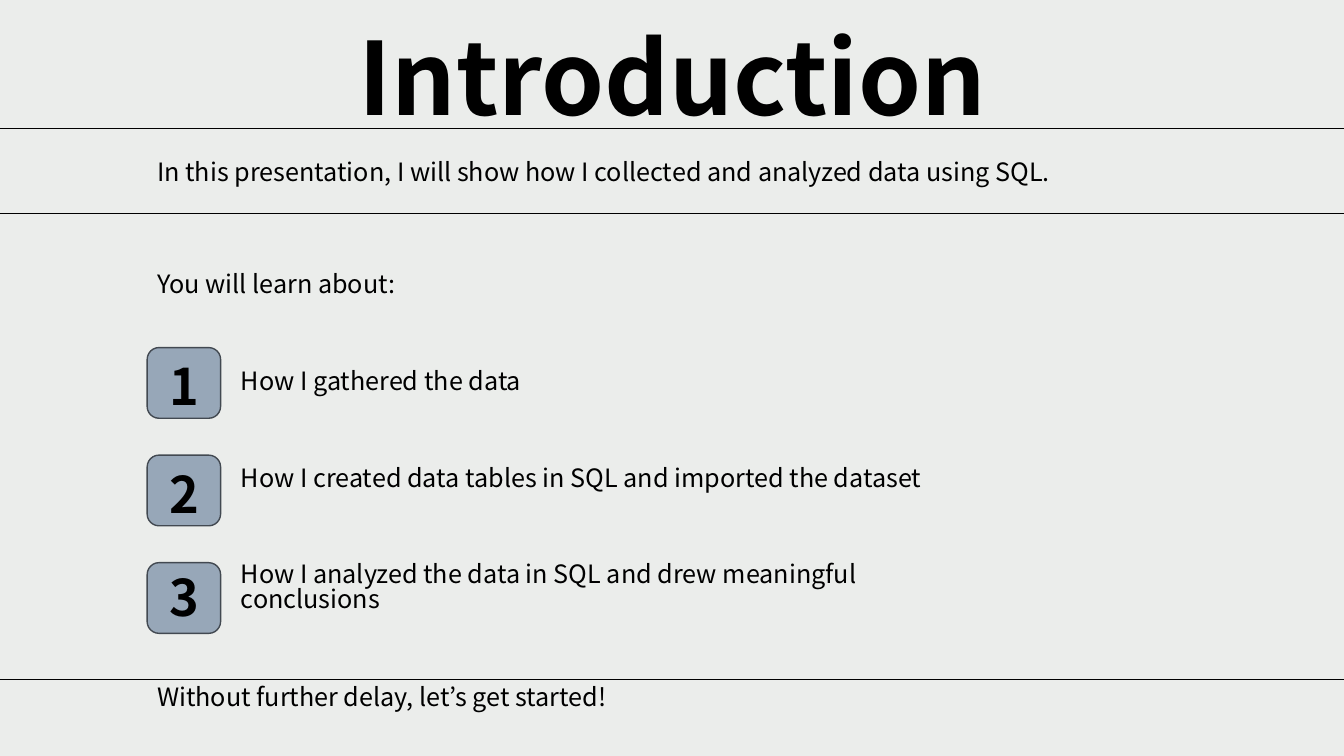
"""Build the introduction slide with its three numbered topics."""
from dataclasses import dataclass

from lxml.etree import SubElement
from pptx import Presentation
from pptx.dml.color import RGBColor
from pptx.enum.shapes import MSO_CONNECTOR as Connector, MSO_SHAPE as Shape
from pptx.enum.text import MSO_ANCHOR as Anchor, MSO_AUTO_SIZE as AutoSize, PP_ALIGN as Align
from pptx.oxml.ns import qn
from pptx.util import Cm, Pt

TITLE = ("Introduction", (7.29, 0.53, 19.3, 3.33))
TOPICS = [
    "How I gathered the data",
    "How I created data tables in SQL and imported the dataset",
    "How I analyzed the data in SQL and drew meaningful conclusions",
]
TOPICS_AREA = (5.82, 9.14, 19.33, 6.93)
SENTENCES = [
    ("In this presentation, I will show how I collected and analyzed data using SQL.",
     (3.71, 3.89, 25.45, 1.02)),
    ("You will learn about:", (3.71, 6.71, 16.94, 1.02)),
    ("Without further delay, let’s get started!", (3.71, 17.12, 19.33, 1.02)),
]
RULE_HEIGHTS = [3.23, 5.38, 17.12]
NUMBER_TOPS = [8.97, 11.68, 14.27]
BADGE_LEFT, BADGE_TOP, BADGE_PITCH = 3.71, 8.76, 2.71
BADGE_WIDTH, BADGE_HEIGHT = 1.85, 1.78
SLIDE_WIDTH, SLIDE_HEIGHT = 33.87, 19.05


@dataclass(frozen=True)
class Theme:
    """Colours, font and type sizes of the slide."""
    font: str = "Noto Sans CJK JP"
    background: RGBColor = RGBColor(0xEB, 0xED, 0xEB)
    ink: RGBColor = RGBColor(0, 0, 0)
    badge: RGBColor = RGBColor(0x97, 0xA7, 0xB8)
    badge_edge: RGBColor = RGBColor(0x42, 0x49, 0x51)
    title_size: int = 72
    number_size: int = 36
    body_size: int = 18
    line_spacing: float = 0.82
    topic_gap: float = 51.4


THEME = Theme()


def place(box, area):
    """Move and size a box given in centimetres."""
    box.left, box.top, box.width, box.height = map(Cm, area)


def write(box, lines, size, bold=False, align=Align.LEFT, gap=0):
    """Fill a box with one paragraph per line."""
    frame = box.text_frame
    frame.word_wrap = True
    frame.auto_size = AutoSize.NONE
    frame.vertical_anchor = Anchor.TOP
    frame.margin_left = frame.margin_right = Cm(0.25)
    frame.margin_top = Cm(0.13) + Pt(size * 0.1)
    frame.margin_bottom = 0
    for index, line in enumerate(lines):
        para = frame.add_paragraph() if index else frame.paragraphs[0]
        para.alignment = align
        para.line_spacing = THEME.line_spacing
        para.space_before = Pt(gap if index else 0)
        para.space_after = Pt(0)
        span = para.add_run()
        span.text = line
        span.font.name = THEME.font
        span.font.size = Pt(size)
        span.font.bold = bold
        span.font.color.rgb = THEME.ink


def remove_bullets(box):
    """Set every paragraph flush left without a bullet."""
    for para in box.text_frame.paragraphs:
        properties = para._p.get_or_add_pPr()
        properties.set("marL", "0")
        properties.set("indent", "0")
        SubElement(properties, qn("a:buNone"))


def add_text(page, text, area, size, **style):
    """Add a text box holding one line of text."""
    box = page.shapes.add_textbox(*map(Cm, area))
    write(box, [text], size, **style)


def add_badge(page, number, number_top):
    """Add a rounded badge with its number."""
    top = BADGE_TOP + (number - 1) * BADGE_PITCH
    badge = page.shapes.add_shape(
        Shape.ROUNDED_RECTANGLE, *map(Cm, (BADGE_LEFT, top, BADGE_WIDTH, BADGE_HEIGHT)))
    badge.shadow.inherit = False
    badge.fill.solid()
    badge.fill.fore_color.rgb = THEME.badge
    badge.line.color.rgb = THEME.badge_edge
    badge.line.width = Pt(1)
    add_text(page, str(number), (BADGE_LEFT, number_top, BADGE_WIDTH, BADGE_HEIGHT),
             THEME.number_size, bold=True, align=Align.CENTER)


def add_rule(page, height):
    """Add a thin line across the whole slide."""
    rule = page.shapes.add_connector(
        Connector.STRAIGHT, *map(Cm, (0, height, SLIDE_WIDTH, height)))
    rule.line.color.rgb = THEME.ink
    rule.line.width = Pt(0.75)
    SubElement(rule._element.spPr, qn("a:effectLst"))


def main():
    """Assemble and save the deck."""
    deck = Presentation()
    deck.slide_width, deck.slide_height = Cm(SLIDE_WIDTH), Cm(SLIDE_HEIGHT)
    page = deck.slides.add_slide(deck.slide_layouts[1])
    page.background.fill.solid()
    page.background.fill.fore_color.rgb = THEME.background

    title, topics = page.placeholders
    title_text, title_area = TITLE
    place(title, title_area)
    write(title, [title_text], THEME.title_size, bold=True, align=Align.CENTER)
    place(topics, TOPICS_AREA)
    write(topics, TOPICS, THEME.body_size, gap=THEME.topic_gap)
    remove_bullets(topics)

    for text, area in SENTENCES:
        add_text(page, text, area, THEME.body_size)
    for number, number_top in enumerate(NUMBER_TOPS, start=1):
        add_badge(page, number, number_top)
    for height in RULE_HEIGHTS:
        add_rule(page, height)
    deck.save("out.pptx")


if __name__ == "__main__":
    main()
